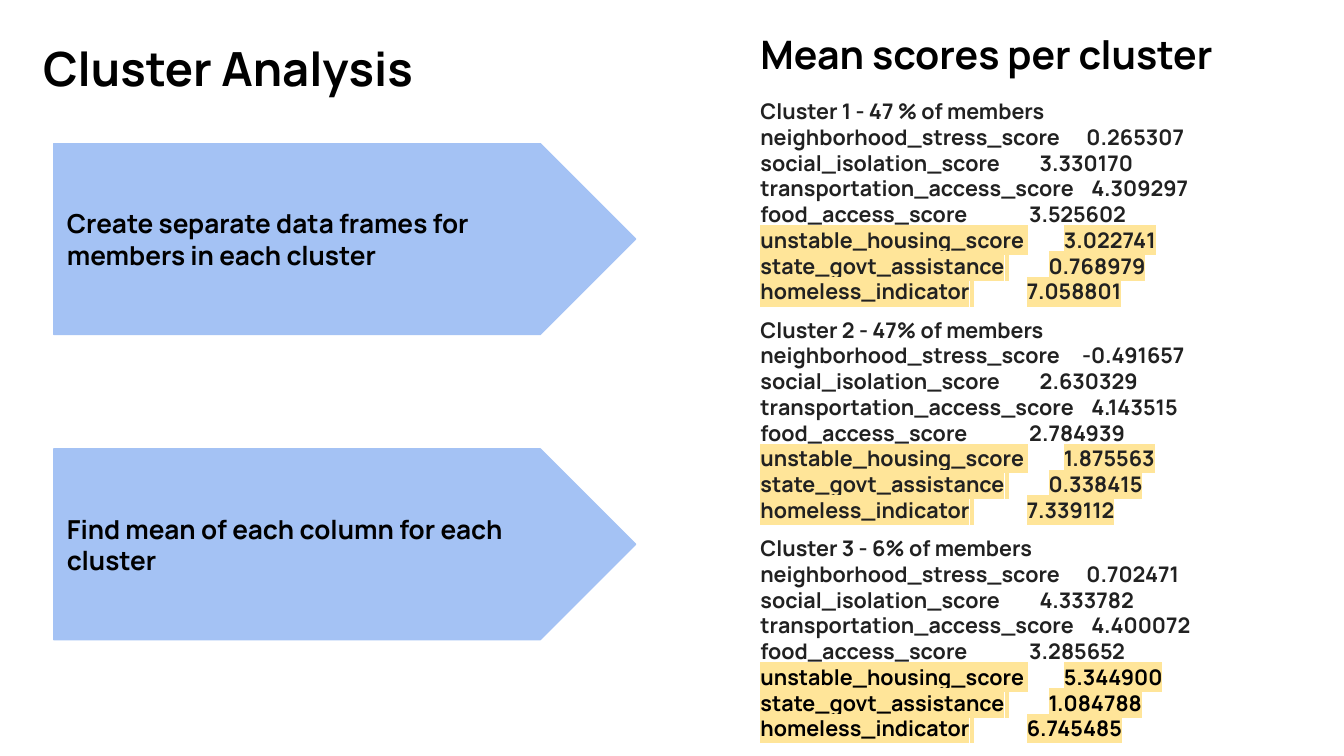
import dataclasses

import pptx
import pptx.dml.color
import pptx.enum.shapes
import pptx.enum.text
import pptx.oxml
import pptx.oxml.ns
import pptx.util

COLORS = {"black": "000000", "ink": "212121", "arrow": "A4C2F4", "highlight": "FFE599"}
FONT = "Manrope"
WIDTH = pptx.util.Inches(10)
HEIGHT = WIDTH * 9 // 16
INSET = pptx.util.Inches(0.1)
ROW_CHARACTERS = 39
SPACE_WIDTH = 2.37
HEADING_TOP, HEADING_HEIGHT = 3.5, 11.2
SCORES_LEFT, SCORES_WIDTH = 55.6, 38.5
CLUSTER_TOP, CLUSTER_HEIGHT, CLUSTER_PITCH = 11.2, 31.11, 28.9
STEP_TOP, STEP_HEIGHT, STEP_PITCH = 19.02, 25.24, 40.36


@dataclasses.dataclass(frozen=True)
class Area:
    """A rectangle in hundredths of the slide's width and height."""
    left: float
    top: float
    width: float
    height: float

    def emu(self) -> tuple[int, int, int, int]:
        return (round(self.left * WIDTH / 100), round(self.top * HEIGHT / 100),
                round(self.width * WIDTH / 100), round(self.height * HEIGHT / 100))


@dataclasses.dataclass(frozen=True)
class Measure:
    name: str
    highlighted: bool = False


@dataclasses.dataclass(frozen=True)
class Cluster:
    heading: str
    values: tuple[str, ...]
    highlight_ink: str = "ink"


MEASURES = (
    Measure("neighborhood_stress_score"),
    Measure("social_isolation_score"),
    Measure("transportation_access_score"),
    Measure("food_access_score"),
    Measure("unstable_housing_score", True),
    Measure("state_govt_assistance", True),
    Measure("homeless_indicator", True),
)
CLUSTERS = (
    Cluster("Cluster 1 - 47 % of members",
            ("0.265307", "3.330170", "4.309297", "3.525602",
             "3.022741", "0.768979", "7.058801")),
    Cluster("Cluster 2 - 47% of members",
            ("-0.491657", "2.630329", "4.143515", "2.784939",
             "1.875563", "0.338415", "7.339112")),
    Cluster("Cluster 3 - 6% of members",
            ("0.702471", "4.333782", "4.400072", "3.285652",
             "5.344900", "1.084788", "6.745485"), "black"),
)
STEPS = ("Create separate data frames for members in each cluster",
         "Find mean of each column for each cluster")


def rgb(name: str) -> pptx.dml.color.RGBColor:
    return pptx.dml.color.RGBColor.from_string(COLORS[name])


def prepare_frame(frame, anchor=pptx.enum.text.MSO_ANCHOR.TOP) -> None:
    frame.word_wrap = True
    frame.auto_size = pptx.enum.text.MSO_AUTO_SIZE.NONE
    frame.vertical_anchor = anchor
    frame.margin_left = frame.margin_right = INSET
    frame.margin_top = frame.margin_bottom = INSET


def write(para, texts: tuple[str, ...], size: float, color: str = "black") -> None:
    for text in texts:
        para.add_run().text = text
    para.alignment = pptx.enum.text.PP_ALIGN.LEFT
    para.font.name, para.font.size, para.font.bold = FONT, pptx.util.Pt(size), True
    para.font.color.rgb = rgb(color)


def widen(span, points: float) -> None:
    """Add letter spacing, so that one space fills a whole gap."""
    span._r.get_or_add_rPr().set("spc", str(round(points * 100)))


def highlight(span) -> None:
    span._r.get_or_add_rPr().append(pptx.oxml.parse_xml(
        f'<a:highlight {pptx.oxml.ns.nsdecls("a")}>'
        f'<a:srgbClr val="{COLORS["highlight"]}"/></a:highlight>'))


def set_title(page, text: str) -> None:
    title = page.shapes.title
    area = Area(2.2, HEADING_TOP, 32, HEADING_HEIGHT)
    title.left, title.top, title.width, title.height = area.emu()
    prepare_frame(title.text_frame)
    write(title.text_frame.paragraphs[0], (text,), 25.2)


def add_text_box(page, area: Area):
    box = page.shapes.add_textbox(*area.emu())
    prepare_frame(box.text_frame)
    return box.text_frame


def add_score(para, measure: Measure, value: str, color: str) -> None:
    write(para, (measure.name, " ", value), 11.5, color)
    gap = ROW_CHARACTERS - len(measure.name) - len(value)
    widen(para.runs[1], (gap - 1) * SPACE_WIDTH)
    if measure.highlighted:
        for span in para.runs:
            highlight(span)


def add_cluster(page, area: Area, cluster: Cluster) -> None:
    frame = add_text_box(page, area)
    write(frame.paragraphs[0], (cluster.heading,), 11.5, "ink")
    for measure, value in zip(MEASURES, cluster.values):
        color = cluster.highlight_ink if measure.highlighted else "ink"
        add_score(frame.add_paragraph(), measure, value, color)
    frame.auto_size = pptx.enum.text.MSO_AUTO_SIZE.SHAPE_TO_FIT_TEXT


def add_step(page, area: Area, text: str) -> None:
    arrow = page.shapes.add_shape(
        pptx.enum.shapes.MSO_SHAPE.PENTAGON, *area.emu())
    arrow.shadow.inherit = False
    arrow.fill.solid()
    arrow.fill.fore_color.rgb = rgb("arrow")
    arrow.line.color.rgb = rgb("arrow")
    arrow.line.width = pptx.util.Pt(0.75)
    prepare_frame(arrow.text_frame, pptx.enum.text.MSO_ANCHOR.MIDDLE)
    write(arrow.text_frame.paragraphs[0], (text,), 14)


def main() -> None:
    deck = pptx.Presentation()
    deck.slide_width, deck.slide_height = WIDTH, HEIGHT
    page = deck.slides.add_slide(deck.slide_layouts.get_by_name("Title Only"))

    set_title(page, "Cluster Analysis")
    for index, cluster in enumerate(CLUSTERS):
        top = CLUSTER_TOP + index * CLUSTER_PITCH
        add_cluster(page, Area(SCORES_LEFT, top, SCORES_WIDTH, CLUSTER_HEIGHT), cluster)
    for index, step in enumerate(STEPS):
        top = STEP_TOP + index * STEP_PITCH
        add_step(page, Area(4, top, 43.3, STEP_HEIGHT), step)

    heading = add_text_box(
        page, Area(SCORES_LEFT, HEADING_TOP, SCORES_WIDTH, HEADING_HEIGHT)).paragraphs[0]
    heading.line_spacing = 0.8
    write(heading, ("Mean scores per cluster",), 21)

    deck.save("out.pptx")


if __name__ == "__main__":
    main()
